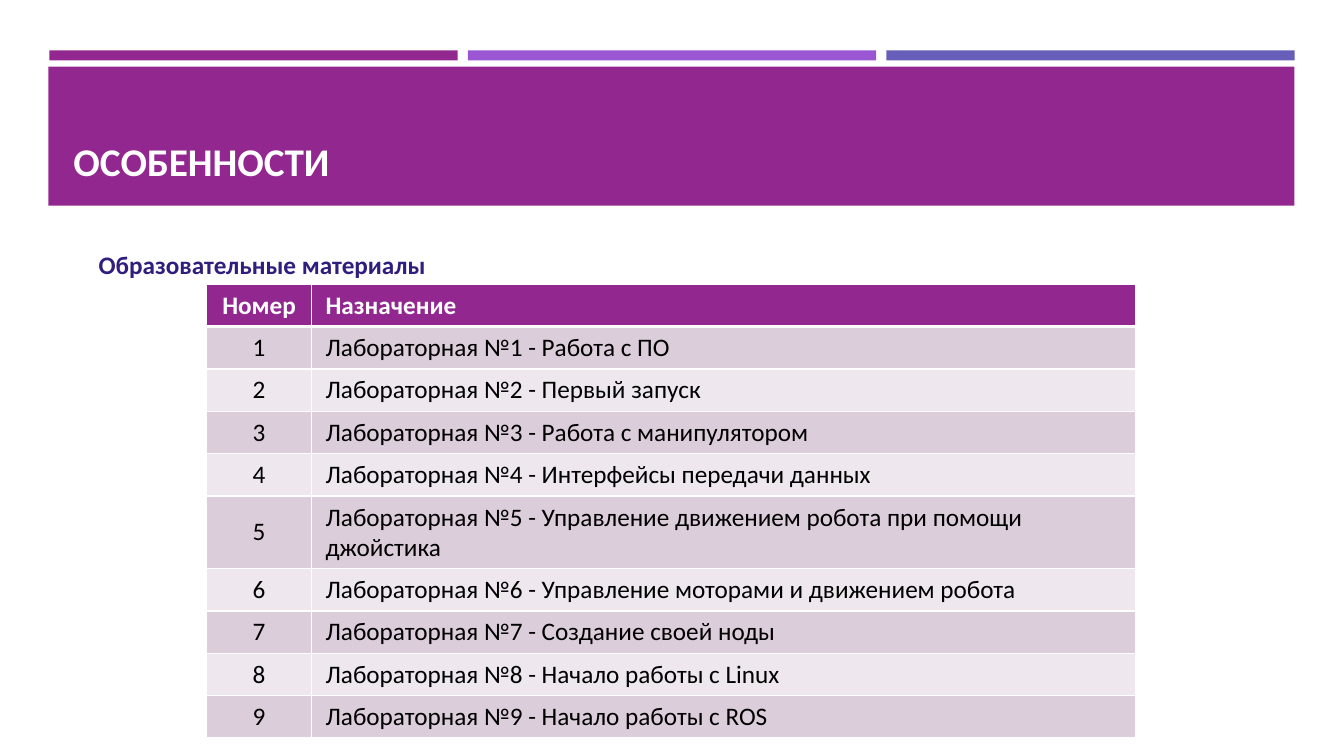
from dataclasses import dataclass

from lxml import etree
from pptx import Presentation
from pptx.dml.color import RGBColor
from pptx.enum.shapes import MSO_SHAPE
from pptx.enum.text import MSO_ANCHOR, PP_ALIGN
from pptx.oxml.ns import qn
from pptx.util import Pt

RECT = MSO_SHAPE.RECTANGLE
TOP, MIDDLE, BOTTOM = MSO_ANCHOR.TOP, MSO_ANCHOR.MIDDLE, MSO_ANCHOR.BOTTOM
LEFT, CENTER = PP_ALIGN.LEFT, PP_ALIGN.CENTER
EMU_PER_PX = 9144


@dataclass(frozen=True)
class Theme:
    font: str = "Calibri"
    title_size: int = 28
    body_size: int = 18
    plum: str = "92278F"
    violet: str = "9B57D3"
    indigo: str = "665EB8"
    navy: str = "301D7E"
    white: str = "FFFFFF"
    black: str = "000000"
    bands: tuple = ("DCCDDB", "EEE8EE")


def px(length):
    return length * EMU_PER_PX


def set_attributes(target, values):
    for name, value in values.items():
        setattr(target, name, value)


class SlideBuilder:
    def __init__(self, slide, theme):
        self.slide = slide
        self.theme = theme

    def fill_text(self, frame, text, color, size, bold=False, align=LEFT):
        paragraph = frame.paragraphs[0]
        paragraph.text = text
        paragraph.alignment = align
        font = paragraph.runs[0].font
        set_attributes(font, {"name": self.theme.font, "size": Pt(size), "bold": bold})
        font.color.rgb = RGBColor.from_string(color)

    def bar(self, left, top, width, height, color):
        bar = self.slide.shapes.add_shape(RECT, px(left), px(top), px(width), px(height))
        bar.shadow.inherit = False
        bar.fill.solid()
        bar.fill.fore_color.rgb = RGBColor.from_string(color)
        bar.line.fill.background()

    def text(self, left, top, width, height, text, color, size, anchor=TOP):
        box = self.slide.shapes.add_textbox(px(left), px(top), px(width), px(height))
        set_attributes(box.text_frame, {"word_wrap": True, "vertical_anchor": anchor})
        self.fill_text(box.text_frame, text, color, size, bold=True)

    def borders(self, cell, bottom_width):
        properties = cell._tc.get_or_add_tcPr()
        widths = {"a:lnL": 1, "a:lnR": 1, "a:lnT": 1, "a:lnB": bottom_width}
        for position, (tag, width) in enumerate(widths.items()):
            line = etree.Element(qn(tag), w=str(int(Pt(width))))
            fill = etree.SubElement(line, qn("a:solidFill"))
            etree.SubElement(fill, qn("a:srgbClr"), val=self.theme.white)
            properties.insert(position, line)

    def cell(self, cell, text, fill, color, header, align):
        set_attributes(cell, {
            "margin_left": px(14), "margin_right": px(14),
            "margin_top": px(6), "margin_bottom": px(6),
            "vertical_anchor": MIDDLE,
        })
        cell.fill.solid()
        cell.fill.fore_color.rgb = RGBColor.from_string(fill)
        self.borders(cell, 3 if header else 1)
        self.fill_text(cell.text_frame, text, color, self.theme.body_size, header, align)

    def table(self, left, top, column_widths, row_heights, rows):
        table = self.slide.shapes.add_table(
            len(rows), len(column_widths), px(left), px(top),
            px(sum(column_widths)), px(sum(row_heights))).table
        for column, width in zip(table.columns, column_widths):
            column.width = px(width)
        for index, (values, height) in enumerate(zip(rows, row_heights)):
            table.rows[index].height = px(height)
            header = index == 0
            fill = self.theme.plum if header else self.theme.bands[(index - 1) % 2]
            color = self.theme.white if header else self.theme.black
            for column, (value, align) in enumerate(zip(values, (CENTER, LEFT))):
                self.cell(table.cell(index, column), value, fill, color, header, align)


def main():
    theme = Theme()
    presentation = Presentation()
    set_attributes(presentation, {"slide_width": px(1333), "slide_height": px(750)})
    slide = presentation.slides.add_slide(presentation.slide_layouts[6])
    builder = SlideBuilder(slide, theme)

    for index, accent in enumerate((theme.plum, theme.violet, theme.indigo)):
        builder.bar(49 + index * 415, 50, 405, 10, accent)
    builder.bar(48, 66, 1236, 138, theme.plum)
    builder.text(63, 80, 1206, 108, "ОСОБЕННОСТИ", theme.white, theme.title_size, BOTTOM)
    builder.text(88, 242, 861, 40, "Образовательные материалы", theme.navy, theme.body_size)

    lab_topics = (
        "Работа с ПО",
        "Первый запуск",
        "Работа с манипулятором",
        "Интерфейсы передачи данных",
        "Управление движением робота при помощи джойстика",
        "Управление моторами и движением робота",
        "Создание своей ноды",
        "Начало работы с Linux",
        "Начало работы с ROS",
    )
    labs = [(str(number), f"Лабораторная №{number} - {topic}")
            for number, topic in enumerate(lab_topics, 1)]
    row_heights = [42] * 5 + [72] + [42] * 4
    builder.table(205, 282, (104, 817), row_heights, [("Номер", "Назначение"), *labs])
    presentation.save("out.pptx")


if __name__ == "__main__":
    main()
